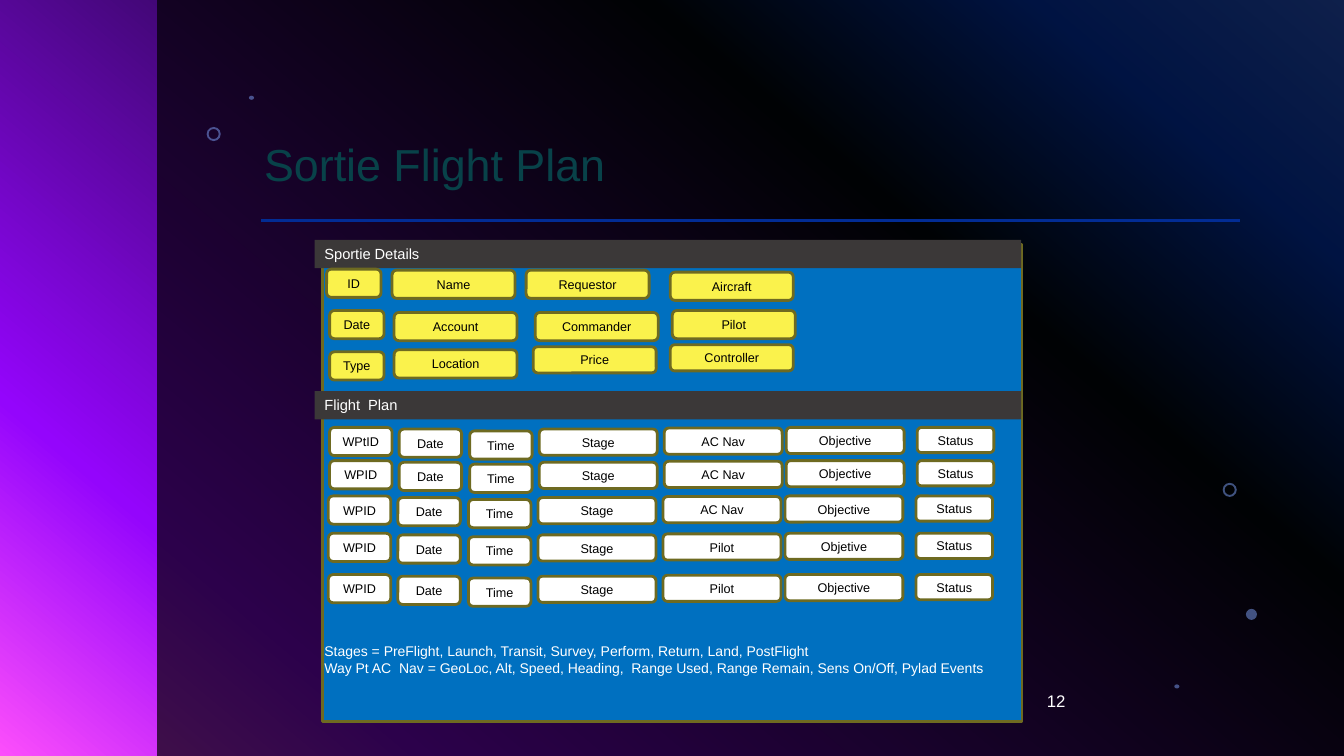
from dataclasses import dataclass

from lxml import etree
from pptx import Presentation
from pptx import util as u
from pptx.dml.color import RGBColor
from pptx.enum import shapes, text
from pptx.oxml.ns import qn


@dataclass(frozen=True)
class Theme:
    """Colours, font and type sizes of the slide."""
    font: str = "Arial"
    title: str = "1BDEF5"
    white: str = "FFFFFF"
    black: str = "000000"
    rule: str = "022C94"
    bubble: str = "82A6FD"
    panel: str = "0070C0"
    header: str = "3B3838"
    edge: str = "6E6A21"
    detail: str = "FAF24C"
    backdrop: tuple = ((0, "316CFC"), (14, "0342DE"), (31, "02090E"),
                       (81, "9405FC"), (100, "FC4EFB"))
    title_size: float = 32
    number_size: float = 12
    header_size: float = 10.5
    note_size: float = 10
    field_size: float = 9
    line_width: float = 2


def write(tf, content, *, size, color, font="Arial", align="LEFT",
          anchor="TOP", spacing=None, left_inset=0.1):
    """Fill a text frame, one paragraph per line of content."""
    tf.auto_size = text.MSO_AUTO_SIZE.NONE
    tf.word_wrap = True
    tf.vertical_anchor = text.MSO_ANCHOR[anchor]
    tf.margin_left, tf.margin_right = u.Inches(left_inset), u.Inches(0.1)
    tf.margin_top = tf.margin_bottom = u.Inches(0.05)
    for i, line in enumerate(content.split("\n")):
        p = tf.add_paragraph() if i else tf.paragraphs[0]
        p.alignment = text.PP_ALIGN[align]
        if spacing:
            p.line_spacing = spacing
        r = p.add_run()
        r.text = line
        r.font.name, r.font.size = font, u.Pt(size)
        r.font.color.rgb = RGBColor.from_string(color)


class Canvas:
    """Draws themed elements on one slide, placed on a 160 by 90 grid."""
    COLS, ROWS = 160, 90

    def __init__(self, prs, theme):
        """Add a title-only slide and keep the style."""
        self.theme = theme
        self.s = prs.slides.add_slide(prs.slide_layouts[5])
        self.col = prs.slide_width / self.COLS
        self.row = prs.slide_height / self.ROWS

    def box(self, x, y, w, h):
        """Turn columns and rows into slide lengths."""
        return (round(x * self.col), round(y * self.row),
                round(w * self.col), round(h * self.row))

    def backdrop(self, angle):
        """Paint the background with the theme's gradient."""
        fill = self.s.background.fill
        fill.gradient()
        fill.gradient_angle = 360 - angle
        stops = self.s.element.find(".//" + qn("a:gsLst"))
        for gs in list(stops):
            stops.remove(gs)
        for share, color in self.theme.backdrop:
            gs = etree.SubElement(stops, qn("a:gs"), pos=str(share * 1000))
            etree.SubElement(gs, qn("a:srgbClr"), val=color)

    def title(self, content, *place):
        """Move and fill the title placeholder."""
        sp = self.s.shapes.title
        sp.left, sp.top, sp.width, sp.height = self.box(*place)
        write(sp.text_frame, content, size=self.theme.title_size,
              color=self.theme.title, font=self.theme.font,
              anchor="BOTTOM", spacing=0.9, left_inset=0)

    def shape(self, kind, *place, fill, edge=None, opacity=None):
        """Draw a preset shape."""
        sp = self.s.shapes.add_shape(shapes.MSO_SHAPE[kind], *self.box(*place))
        sp.shadow.inherit = False
        sp.fill.solid()
        sp.fill.fore_color.rgb = RGBColor.from_string(fill)
        if edge:
            sp.line.color.rgb = RGBColor.from_string(edge)
            sp.line.width = u.Pt(self.theme.line_width)
        else:
            sp.line.fill.background()
        if opacity:
            color = sp.element.spPr.find(qn("a:solidFill"))[0]
            etree.SubElement(color, qn("a:alpha"), val=str(opacity * 1000))
        return sp

    def bubble(self, kind, *place):
        """Draw a translucent decorative dot or ring."""
        sp = self.shape(kind, *place, fill=self.theme.bubble, opacity=49)
        if kind == "DONUT":
            sp.adjustments[0] = 0.14

    def rule(self, x1, x2, y):
        """Draw the horizontal line under the title."""
        x, y, w, _ = self.box(x1, y, x2 - x1, 0)
        line = self.s.shapes.add_connector(
            shapes.MSO_CONNECTOR.STRAIGHT, x, y, x + w, y)
        line.line.color.rgb = RGBColor.from_string(self.theme.rule)
        line.line.width = u.Pt(self.theme.line_width)
        etree.SubElement(line.element.spPr, qn("a:effectLst"))

    def header(self, content, *place):
        """Draw a section bar."""
        sp = self.shape("RECTANGLE", *place, fill=self.theme.header)
        write(sp.text_frame, content, size=self.theme.header_size,
              color=self.theme.white, font=self.theme.font)

    def field(self, content, *place, fill):
        """Draw a rounded field with a centred label."""
        sp = self.shape("ROUNDED_RECTANGLE", *place, fill=fill,
                        edge=self.theme.edge)
        write(sp.text_frame, content, size=self.theme.field_size,
              color=self.theme.black, font=self.theme.font,
              align="CENTER", anchor="MIDDLE")

    def label(self, content, *place, **fmt):
        """Place a text box in white."""
        sp = self.s.shapes.add_textbox(*self.box(*place))
        write(sp.text_frame, content, color=self.theme.white,
              font=self.theme.font, **fmt)


BUBBLES = [
    ("DONUT", 145.56, 57.48, 1.68, 1.68), ("OVAL", 148.32, 72.48, 1.32, 1.32),
    ("OVAL", 139.8, 81.48, 0.6, 0.48), ("DONUT", 24.6, 15.12, 1.68, 1.68),
    ("OVAL", 29.64, 11.4, 0.6, 0.48),
]
NARROW, WIDE, TALL, SHORT = 6.48, 14.64, 3.36, 3.12
DETAILS = [
    ("ID", 38.88, 32.04, NARROW, TALL), ("Name", 46.68, 32.16, WIDE, TALL),
    ("Requestor", 62.64, 32.16, WIDE, TALL), ("Aircraft", 79.8, 32.4, WIDE, TALL),
    ("Date", 39.24, 36.96, NARROW, TALL), ("Account", 46.92, 37.2, WIDE, TALL),
    ("Commander", 63.72, 37.2, WIDE, TALL), ("Pilot", 80.04, 36.96, WIDE, TALL),
    ("Type", 39.24, 41.88, NARROW, TALL), ("Location", 46.92, 41.64, WIDE, TALL),
    ("Price", 63.48, 41.28, WIDE, SHORT), ("Controller", 79.8, 41.04, WIDE, SHORT),
]
PLAN_COLUMNS = [
    (39.24, 0, 7.44, TALL), (47.52, 0.2, 7.44, TALL), (55.92, 0.42, 7.44, TALL),
    (64.2, 0.2, 14.04, SHORT), (79.08, 0.08, 14.04, SHORT),
    (93.6, 0, 14.04, SHORT), (109.2, 0, 9.12, 3),
]
PLAN_ROWS = [
    (50.88, 0, "WPtID", "AC Nav", "Objective"),
    (54.84, 0, "WPID", "AC Nav", "Objective"),
    (59.04, -0.15, "WPID", "AC Nav", "Objective"),
    (63.48, -0.15, "WPID", "Pilot", "Objetive"),
    (68.4, -0.15, "WPID", "Pilot", "Objective"),
]
NOTES = (
    "Stages = PreFlight, Launch, Transit, Survey, Perform, Return, Land, PostFlight\n"
    "Way Pt AC  Nav = GeoLoc, Alt, Speed, Heading,  Range Used, Range Remain, "
    "Sens On/Off, Pylad Events"
)


def main():
    """Build the flight plan slide and save it."""
    prs = Presentation()
    prs.slide_width, prs.slide_height = u.Inches(13.33), u.Inches(7.5)
    theme = Theme()
    c = Canvas(prs, theme)
    c.backdrop(130)
    c.shape("RECTANGLE", 18.72, 0, 141.28, 90, fill=theme.black, opacity=70)
    for bubble in BUBBLES:
        c.bubble(*bubble)
    c.rule(31.08, 147.6, 26.28)
    c.title("Sortie Flight Plan", 31.44, 2.16, 116.04, 21.24)
    c.label("12", 92.04, 81, 36, 4.8, size=theme.number_size,
            align="RIGHT", anchor="MIDDLE")
    c.shape("RECTANGLE", 38.4, 29.16, 83.28, 56.76,
            fill=theme.panel, edge=theme.edge)
    for heading, top in (("Sportie Details", 28.56), ("Flight  Plan", 46.56)):
        c.header(heading, 37.44, top, 84.12, TALL)
    for detail in DETAILS:
        c.field(*detail, fill=theme.detail)
    for top, shift, point, nav, goal in PLAN_ROWS:
        names = (point, "Date", "Time", "Stage", nav, goal, "Status")
        for name, (x, drop, w, h) in zip(names, PLAN_COLUMNS):
            c.field(name, x + shift, top + drop, w, h, fill=theme.white)
    c.label(NOTES, 37.44, 75.96, 84.12, 5.28, size=theme.note_size)
    prs.save("out.pptx")


if __name__ == "__main__":
    main()
